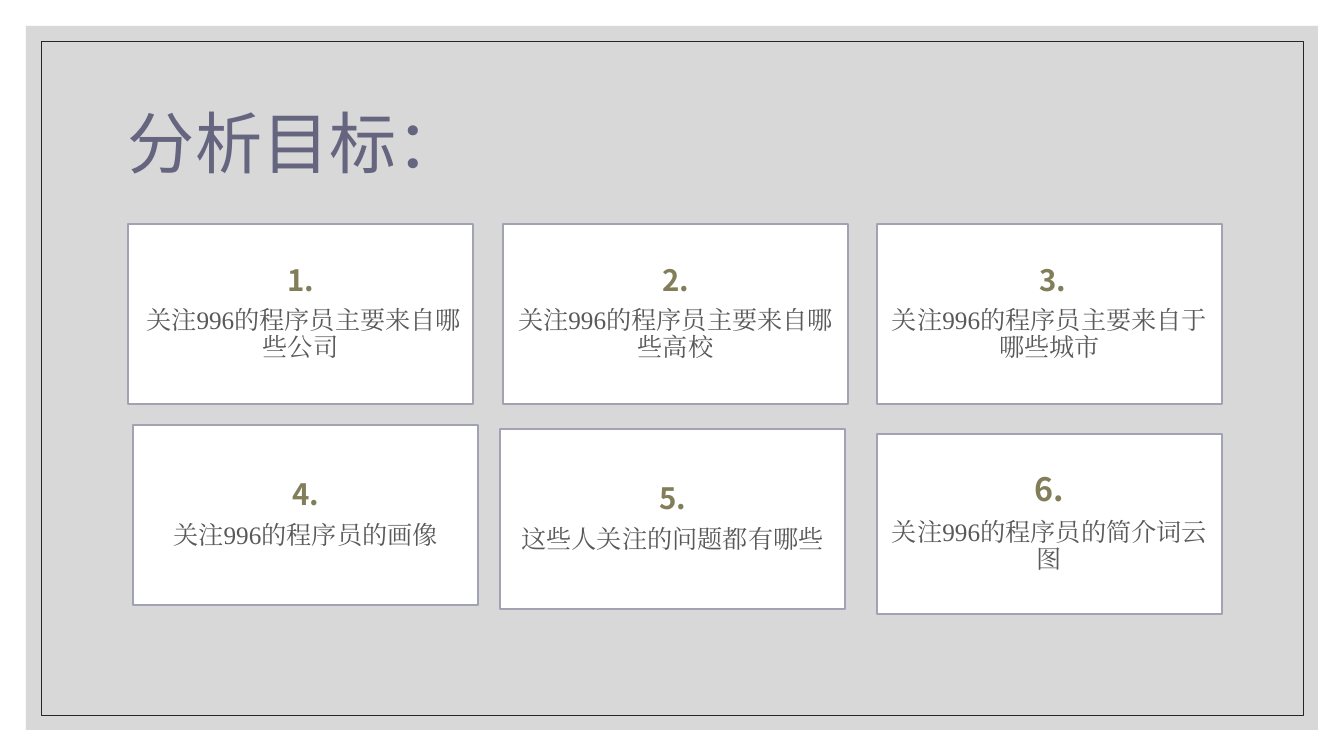
from lxml import etree
from pptx import Presentation
from pptx import util as u
from pptx.dml.color import RGBColor
from pptx.enum import shapes, text
from pptx.oxml.ns import qn

SCALE = 914400 / 100.8
COLOURS = {
    "panel": "BFBFBF", "frame": "262626", "title": "656580", "card": "FFFFFF",
    "border": "A2A2B5", "number": "817E59", "goal": "595959",
}
SANS, SERIF = "Noto Sans CJK SC", "Times New Roman"
CARD_SIZE = (345, 180)
GOALS = [
    (128, 224, "1.", 21, " 关注996的程序员主要来自哪些公司"),
    (503, 224, "2.", 21, "关注996的程序员主要来自哪些高校"),
    (877, 224, " 3.", 21, "关注996的程序员主要来自于哪些城市"),
    (133, 425, "4.", 21, "关注996的程序员的画像"),
    (500, 429, "5.", 21, "这些人关注的问题都有哪些"),
    (877, 434, "6.", 23, "关注996的程序员的简介词云图"),
]


def px(length):
    """Turn px into EMU."""
    return u.Emu(round(length * SCALE))


def colour(name):
    """Look up a colour by its role."""
    return RGBColor.from_string(COLOURS[name])


def add_box(slide, box, fill=None, line=None, width=1):
    """Draw a rectangle with an optional fill and line."""
    rect = slide.shapes.add_shape(shapes.MSO_SHAPE.RECTANGLE, *map(px, box))
    rect.shadow.inherit = False
    if fill:
        rect.fill.solid()
        rect.fill.fore_color.rgb = colour(fill)
    else:
        rect.fill.background()
    if line:
        rect.line.color.rgb = colour(line)
        rect.line.width = u.Pt(width)
    else:
        rect.line.fill.background()
    return rect


def write(paragraph, words, role, font, size, bold=False, **layout):
    """Write one styled run and lay out its paragraph."""
    run = paragraph.add_run()
    run.text = words
    for key, value in dict(name=font, size=u.Pt(size), bold=bold).items():
        setattr(run.font, key, value)
    run.font.color.rgb = colour(role)
    etree.SubElement(run._r.get_or_add_rPr(), qn("a:ea"), typeface=font)
    for key, value in dict(line_spacing=0.9, **layout).items():
        setattr(paragraph, key, value)


def add_backdrop(slide, box):
    """Draw the translucent panel and the thin frame inside it."""
    left, top, width, height = box
    panel = add_box(slide, box, "panel")
    tint = panel._element.spPr.find(qn("a:solidFill"))[0]
    etree.SubElement(tint, qn("a:alpha"), val="60000")
    inset = 15
    add_box(slide, (left + inset, top + inset, width - 2 * inset, height - 2 * inset),
            line="frame", width=0.5)


def add_title(slide, box):
    """Place the slide title."""
    frame = slide.shapes.add_textbox(*map(px, box)).text_frame
    frame.word_wrap = True
    frame.vertical_anchor = text.MSO_ANCHOR.MIDDLE
    write(frame.paragraphs[0], "分析目标：", "title", SANS, 48)


def add_goal(slide, box, number, number_size, goal):
    """Place one goal card with its number and wording."""
    frame = add_box(slide, box, "card", "border").text_frame
    margins = dict(margin_left=px(8), margin_right=px(8), margin_top=px(9), margin_bottom=px(9))
    for key, value in dict(word_wrap=True, vertical_anchor=text.MSO_ANCHOR.MIDDLE, **margins).items():
        setattr(frame, key, value)
    layout = dict(alignment=text.PP_ALIGN.CENTER, space_after=u.Pt(7.5))
    write(frame.paragraphs[0], number, "number", SANS, number_size, True, **layout)
    write(frame.add_paragraph(), goal, "goal", SERIF, 18, **layout)


def main():
    """Build the slide of analysis goals."""
    deck = Presentation()
    deck.slide_width, deck.slide_height = px(1344), px(756)
    slide = deck.slides.add_slide(deck.slide_layouts[6])
    add_backdrop(slide, (26, 26, 1292, 704))
    add_title(slide, (118, 71, 1109, 151))
    for left, top, *wording in GOALS:
        add_goal(slide, (left, top, *CARD_SIZE), *wording)
    deck.save("out.pptx")


if __name__ == "__main__":
    main()
